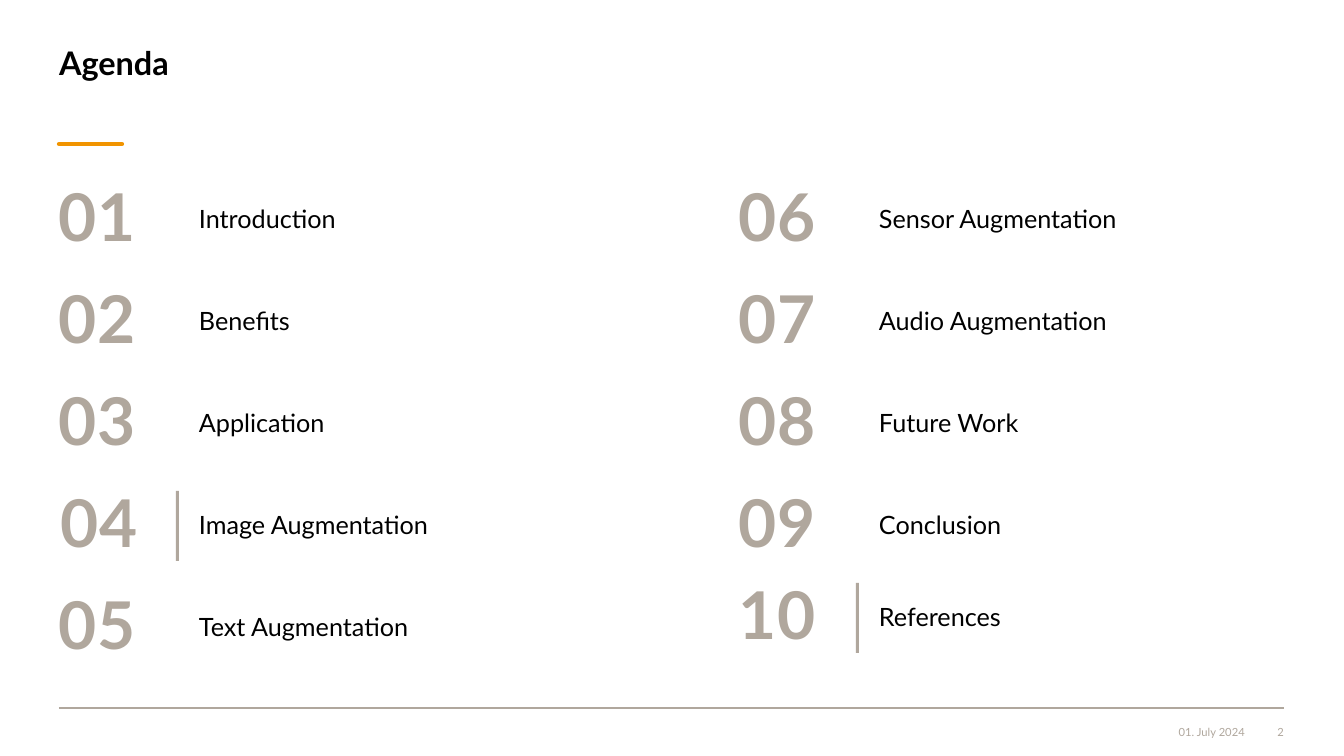
from lxml import etree
from pptx import Presentation
from pptx.dml.color import RGBColor
from pptx.enum.shapes import MSO_CONNECTOR, MSO_SHAPE
from pptx.enum.text import MSO_ANCHOR, MSO_AUTO_SIZE, PP_ALIGN
from pptx.oxml.ns import qn
from pptx.util import Pt

PX = 914400 / 100.8
FONT = "Lato"
BLACK = RGBColor(0x00, 0x00, 0x00)
TAUPE = RGBColor(0xB0, 0xA7, 0x9D)
ORANGE = RGBColor(0xF1, 0x94, 0x00)

LEFT, RIGHT = 59, 1284
ROW_PITCH, ROW_H = 102, 80
NUMBER_W, LABEL_X, LABEL_W = 117, 140, 405
BAR_W, BAR_H = 3, 70

# Each entry: number, label, has a bar, (dx, dy) shift of the number, row shift
AGENDA_LEFT = [
    ("01", "Introduction", False, 0, 0),
    ("02", "Benefits", False, 0, 0),
    ("03", "Application", False, 0, 0),
    ("04", "Image Augmentation", True, 2, 0),
    ("05", "Text Augmentation", False, 0, 0),
]
AGENDA_RIGHT = [
    ("06", "Sensor Augmentation", False, 0, 0),
    ("07", "Audio Augmentation", False, 0, 0),
    ("08", "Future Work", False, 0, 0),
    ("09", "Conclusion", False, 0, 0),
    ("10", "References", True, 0, -10),
]


def px(*lengths):
    return [round(n * PX) for n in lengths]


def place(sp, x, y, w, h):
    sp.left, sp.top, sp.width, sp.height = px(x, y, w, h)


def write(sp, text, size, color, bold=False, align=PP_ALIGN.LEFT,
          anchor=MSO_ANCHOR.MIDDLE, spacing=0.9, before=0, wrap=True):
    """Fill a shape with one run of text, without insets."""
    tf = sp.text_frame
    tf.word_wrap = wrap
    tf.auto_size = MSO_AUTO_SIZE.NONE
    tf.vertical_anchor = anchor
    tf.margin_left = tf.margin_right = tf.margin_top = tf.margin_bottom = 0
    p = tf.paragraphs[0]
    p.alignment = align
    p.line_spacing = spacing
    p.space_before = Pt(before)
    r = p.add_run()
    r.text = text
    r.font.name = FONT
    r.font.size = Pt(size)
    r.font.bold = bold
    r.font.color.rgb = color


def add_text(s, box, text, size, color, **style):
    write(s.shapes.add_textbox(*px(*box)), text, size, color, **style)


def add_rule(s, x1, x2, y, color, weight, cap="flat"):
    line = s.shapes.add_connector(MSO_CONNECTOR.STRAIGHT, *px(x1, y, x2, y))
    line.line.color.rgb = color
    line.line.width = Pt(weight)
    line.line._get_or_add_ln().set("cap", cap)
    etree.SubElement(line._element.spPr, qn("a:effectLst"))


def add_bar(s, x, y):
    bar = s.shapes.add_shape(MSO_SHAPE.RECTANGLE, *px(x, y, BAR_W, BAR_H))
    bar.shadow.inherit = False
    bar.fill.solid()
    bar.fill.fore_color.rgb = TAUPE
    bar.line.fill.background()


def add_header(s, x, y, w):
    title = s.shapes.title
    place(title, x, y, w, 39)
    write(title, "Agenda", 23.2, BLACK, bold=True, anchor=MSO_ANCHOR.TOP)
    add_rule(s, x, x + 63, y + 97, ORANGE, 3, cap="rnd")


def add_agenda_column(s, x, y, entries):
    for i, (number, label, has_bar, number_dx, row_dy) in enumerate(entries):
        top = y + i * ROW_PITCH + row_dy
        add_text(s, (x + number_dx, top, NUMBER_W, ROW_H), number, 47, TAUPE, bold=True)
        add_text(s, (x + LABEL_X, top, LABEL_W, ROW_H), label, 18, BLACK, before=12)
        if has_bar:
            add_bar(s, x + NUMBER_W, top + (ROW_H - BAR_H) // 2)


def add_footer(s, x, y, w):
    add_rule(s, x, x + w, y, TAUPE, 1)
    small = dict(size=8, color=TAUPE, align=PP_ALIGN.RIGHT, spacing=1.0)
    add_text(s, (x + w - 234, y + 17, 195, 14), "01. July 2024", **small)
    add_text(s, (x + w - 14, y + 17, 14, 14), "2", wrap=False, **small)


def main():
    prs = Presentation()
    prs.slide_width, prs.slide_height = px(1344, 756)
    s = prs.slides.add_slide(prs.slide_layouts[5])
    add_header(s, LEFT, 47, RIGHT - LEFT)
    add_agenda_column(s, LEFT, 180, AGENDA_LEFT)
    add_agenda_column(s, 739, 180, AGENDA_RIGHT)
    add_footer(s, LEFT, 708, RIGHT - LEFT)
    prs.save("out.pptx")


if __name__ == "__main__":
    main()
